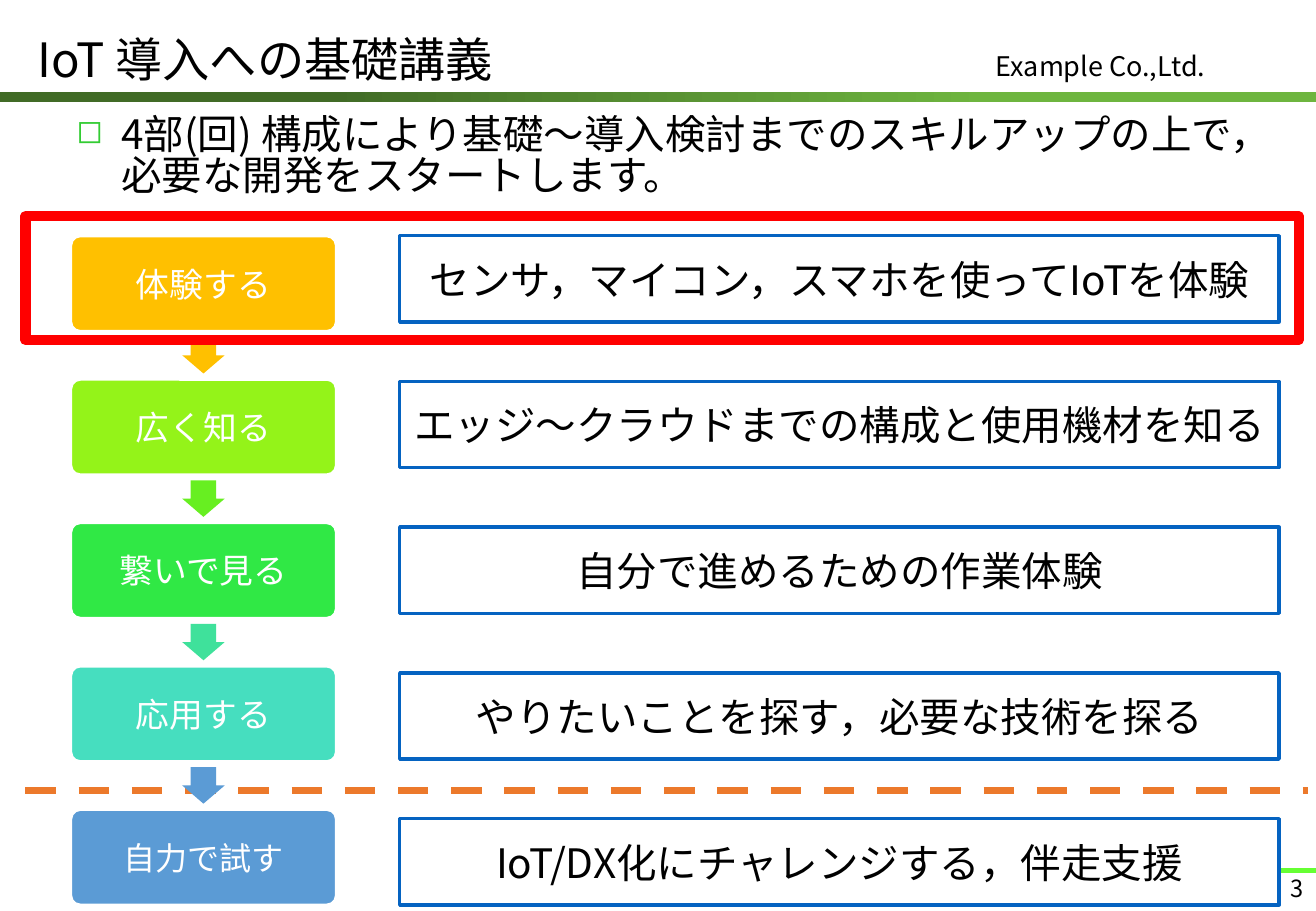
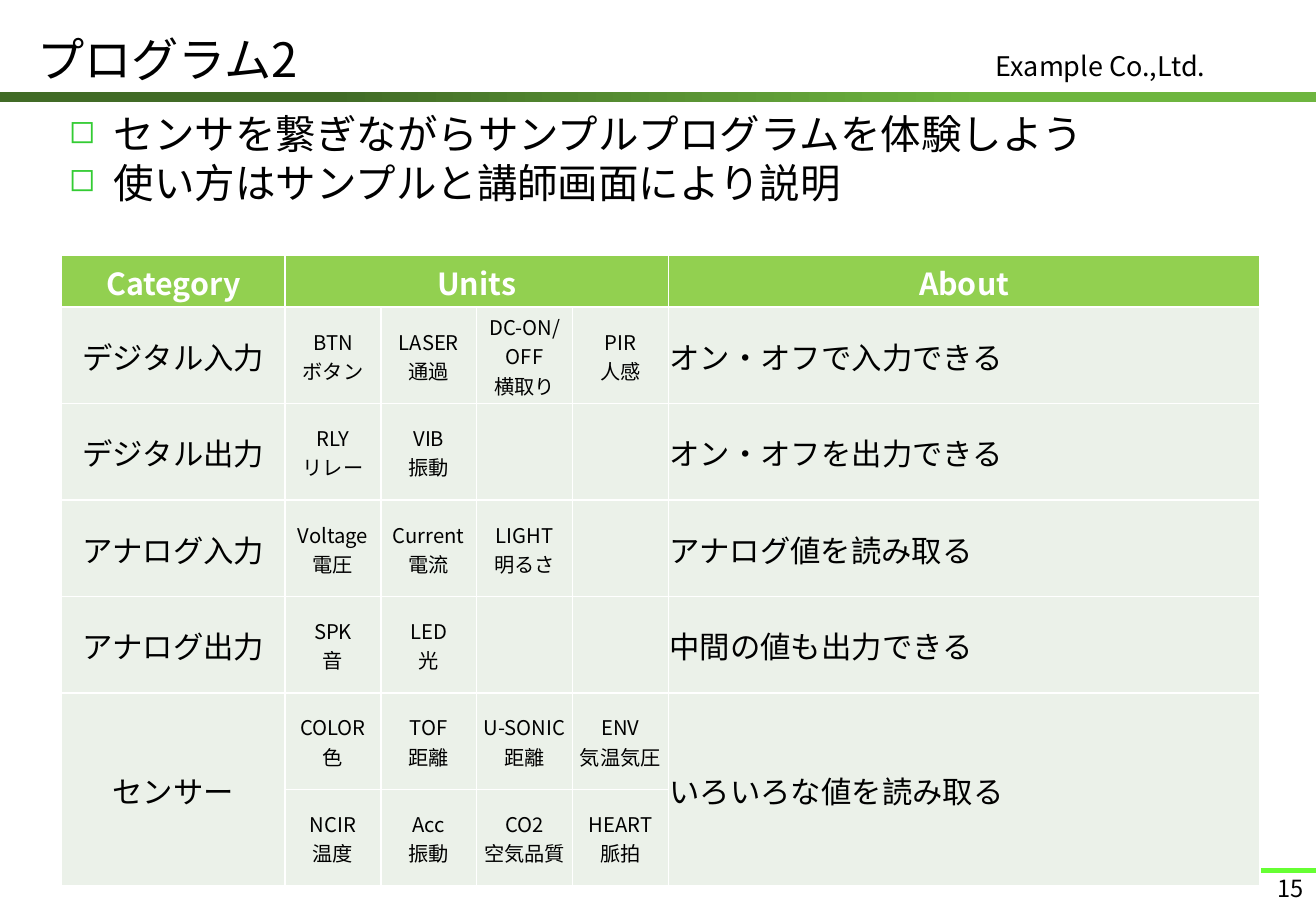
from lxml import etree
from pptx import Presentation
from pptx.dml.color import RGBColor
from pptx.enum import dml, shapes, text
from pptx.oxml import ns
from pptx.util import Pt

FONT = "Noto Sans CJK JP"
COLORS = {
    "text": "000000", "white": "FFFFFF", "band dark": "416B26", "band light": "6EB53F",
    "footer line": "66FF33", "bullet": "33CC33", "dash": "EC792B", "box line": "0563C1",
    "frame": "FF0000", "header": "92D050", "cell": "EBF1E9",
    "amber": "FFC000", "lime": "94F319", "bright green": "67EF21", "green": "30E845",
    "mint": "3FE19B", "turquoise": "46DEBF", "blue": "5B9BD5",
}
RGB = {name: RGBColor.from_string(value) for name, value in COLORS.items()}
CENTER, MIDDLE = text.PP_ALIGN.CENTER, text.MSO_ANCHOR.MIDDLE
SHAPE = shapes.MSO_SHAPE


def write(frame, words, size, color="text", align=text.PP_ALIGN.LEFT, bold=False):
    """Set the words, one paragraph a line, in Latin and East Asian type."""
    frame.text = words
    for paragraph in frame.paragraphs:
        paragraph.alignment = align
        for run in paragraph.runs:
            run.font.name, run.font.size, run.font.bold = FONT, Pt(size), bold
            run.font.color.rgb = RGB[color]
            etree.SubElement(run._r.get_or_add_rPr(), ns.qn("a:ea"), typeface=FONT)


def style(shape, fill=None, line=None, width=0):
    """Fill and outline a shape or connector, without a shadow."""
    if isinstance(shape.shape_type, int) and shape.shape_type == shapes.MSO_SHAPE_TYPE.LINE:
        etree.SubElement(shape._element.spPr, ns.qn("a:effectLst"))
    else:
        shape.shadow.inherit = False
        if fill:
            shape.fill.solid()
            shape.fill.fore_color.rgb = RGB[fill]
        else:
            shape.fill.background()
    if line:
        shape.line.color.rgb = RGB[line]
        shape.line.width = Pt(width)
    else:
        shape.line.fill.background()


presentation = Presentation()
presentation.slide_width, presentation.slide_height = Pt(780), Pt(540)

# Shared frame: band, company, footer, title and bullets
contents = [
    ("IoT 導入への基礎講義", "3", (38.2, 66.2, 720, 62.6),
     "4部(回) 構成により基礎～導入検討までのスキルアップの上で，必要な開発をスタートします。"),
    ("プログラム2", "15", (33.8, 66.2, 725, 450),
     "センサを繋ぎながらサンプルプログラムを体験しよう\n使い方はサンプルと講師画面により説明"),
]
for title, number, body_place, bullets in contents:
    slide = presentation.slides.add_slide(presentation.slide_layouts[6])
    band = slide.shapes.add_shape(SHAPE.RECTANGLE, Pt(0), Pt(54.7), Pt(780), Pt(5.8))
    style(band)
    band.fill.gradient()
    band.fill.gradient_angle = 0
    for stop, color, position in zip(band.fill.gradient_stops, ("band dark", "band light"), (0.25, 0.75)):
        stop.color.rgb = RGB[color]
        stop.position = position
    footer_line = slide.shapes.add_connector(
        shapes.MSO_CONNECTOR.STRAIGHT, Pt(780), Pt(516.2), Pt(715), Pt(516.2))
    style(footer_line, line="footer line", width=3)

    labels = [
        ((583.2, 25.9, 196.6, 26.6), "Example Co.,Ltd.", 16, text.PP_ALIGN.LEFT),
        ((15.1, 15.1, 540.7, 39.6), title, 28, text.PP_ALIGN.LEFT),
        ((718.6, 516.2, 61.4, 20.2), number, 14, text.PP_ALIGN.RIGHT),
    ]
    for place, words, size, align in labels:
        label = slide.shapes.add_textbox(*map(Pt, place))
        label.text_frame.word_wrap = True
        label.text_frame.vertical_anchor = MIDDLE
        write(label.text_frame, words, size, align=align)

    body = slide.shapes.add_textbox(*map(Pt, body_place))
    body.text_frame.word_wrap = True
    write(body.text_frame, bullets, 24)
    for index, paragraph in enumerate(body.text_frame.paragraphs):
        properties = paragraph._p.get_or_add_pPr()
        properties.set("marL", str(Pt(26.6)))
        properties.set("indent", str(-Pt(26.6)))
        bullet_color = etree.SubElement(properties, ns.qn("a:buClr"))
        etree.SubElement(bullet_color, ns.qn("a:srgbClr"), val=COLORS["bullet"])
        etree.SubElement(properties, ns.qn("a:buSzPct"), val="80000")
        etree.SubElement(properties, ns.qn("a:buChar"), char="◻")
        paragraph.line_spacing = 0.83
        if index:
            paragraph.space_before = Pt(4.8)

steps_slide, units_slide = presentation.slides

# Five steps with their descriptions
divider = steps_slide.shapes.add_connector(
    shapes.MSO_CONNECTOR.STRAIGHT, Pt(15.1), Pt(468.7), Pt(775.4), Pt(468.7))
style(divider, line="dash", width=4.5)
divider.line.dash_style = dml.MSO_LINE.DASH

steps = [
    ("体験する", 20, "amber", "amber", "センサ，マイコン，スマホを使ってIoTを体験"),
    ("広く知る", 20, "lime", "bright green", "エッジ～クラウドまでの構成と使用機材を知る"),
    ("繋いで見る", 20, "green", "mint", "自分で進めるための作業体験"),
    ("応用する", 20, "turquoise", "blue", "やりたいことを探す，必要な技術を探る"),
    ("自力で試す", 19, "blue", None, "IoT/DX化にチャレンジする，伴走支援"),
]
FIRST_TOP, STEP_PITCH, BOX_PITCH = 139.7, 85, 86.4
for index, (name, size, color, arrow_color, description) in enumerate(steps):
    top = FIRST_TOP + index * STEP_PITCH
    step = steps_slide.shapes.add_shape(
        SHAPE.ROUNDED_RECTANGLE, Pt(41.8), Pt(top), Pt(157.7), Pt(56.9))
    step.adjustments[0] = 0.1
    style(step, color, "white", 2)
    write(step.text_frame, name, size, "white", CENTER)

    if arrow_color:
        arrow = steps_slide.shapes.add_shape(
            SHAPE.DOWN_ARROW, Pt(108), Pt(top + 60.1), Pt(25.2), Pt(21.6))
        arrow.adjustments[0], arrow.adjustments[1] = 0.6, 0.5
        style(arrow, arrow_color)

    box = steps_slide.shapes.add_shape(
        SHAPE.RECTANGLE, Pt(236.9), Pt(FIRST_TOP + index * BOX_PITCH), Pt(521.3), Pt(51.1))
    style(box, "white", "box line", 2)
    box.text_frame.word_wrap = False
    write(box.text_frame, description, 24, align=CENTER)

highlight = steps_slide.shapes.add_shape(
    SHAPE.RECTANGLE, Pt(15.1), Pt(128.2), Pt(754.6), Pt(73.4))
style(highlight, line="frame", width=6)

# Table of units
rows = [
    ("Category", "Units", "", "", "", "About"),
    ("デジタル入力", "BTN\nボタン", "LASER\n通過", "DC-ON/OFF\n横取り", "PIR\n人感", "オン・オフで入力できる"),
    ("デジタル出力", "RLY\nリレー", "VIB\n振動", "", "", "オン・オフを出力できる"),
    ("アナログ入力", "Voltage\n電圧", "Current\n電流", "LIGHT\n明るさ", "", "アナログ値を読み取る"),
    ("アナログ出力", "SPK\n音", "LED\n光", "", "", "中間の値も出力できる"),
    ("センサー", "COLOR\n色", "TOF\n距離", "U-SONIC\n距離", "ENV\n気温気圧", "いろいろな値を読み取る"),
    ("", "NCIR\n温度", "Acc\n振動", "CO2\n空気品質", "HEART\n脈拍", ""),
]
widths = [132.5] + [56.8] * 4 + [350.6]
heights = [30.9] + [57.2] * 6
table = units_slide.shapes.add_table(
    len(rows), len(widths), Pt(36.5), Pt(151.2), Pt(sum(widths)), Pt(sum(heights))).table
table.horz_banding = False
for column, width in zip(table.columns, widths):
    column.width = Pt(width)
for row, height in zip(table.rows, heights):
    row.height = Pt(height)
for first, last in (((0, 1), (0, 4)), ((5, 0), (6, 0)), ((5, 5), (6, 5))):
    table.cell(*first).merge(table.cell(*last))

for row_index, row in enumerate(rows):
    for column_index, words in enumerate(row):
        cell = table.cell(row_index, column_index)
        is_header = row_index == 0
        is_unit = not is_header and 1 <= column_index <= 4
        cell.margin_left = cell.margin_right = cell.margin_top = Pt(0.72)
        cell.margin_bottom = Pt(0)
        cell.vertical_anchor = MIDDLE
        for side in ("a:lnL", "a:lnR", "a:lnT", "a:lnB"):
            border = etree.SubElement(cell._tc.get_or_add_tcPr(), ns.qn(side), w=str(Pt(1)))
            border_fill = etree.SubElement(border, ns.qn("a:solidFill"))
            etree.SubElement(border_fill, ns.qn("a:srgbClr"), val=COLORS["white"])
        cell.fill.solid()
        cell.fill.fore_color.rgb = RGB["header" if is_header else "cell"]
        if words:
            is_about = not is_header and column_index == 5
            write(cell.text_frame, words, 12 if is_unit else 18, "white" if is_header else "text",
                  text.PP_ALIGN.LEFT if is_about else CENTER, is_header)

presentation.save("out.pptx")
